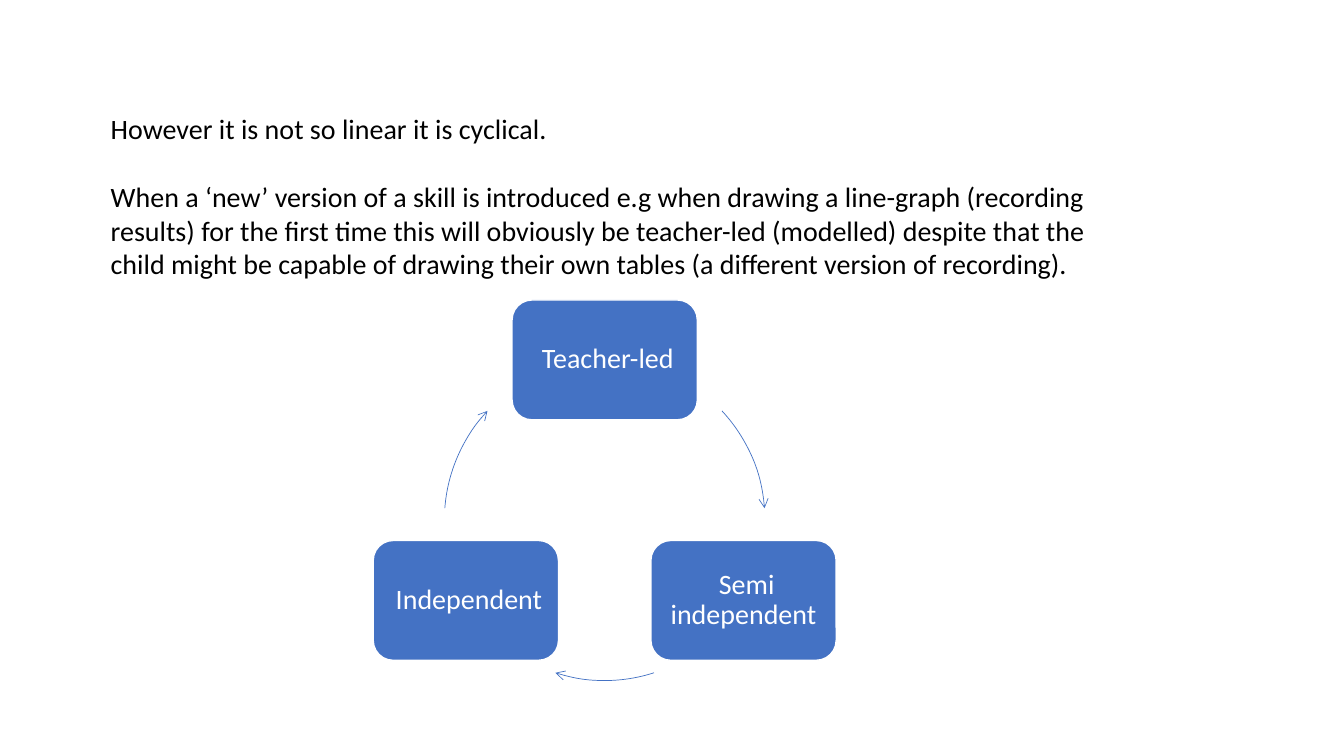
import math

from lxml import etree
from pptx import Presentation, util as u
from pptx.dml import color
from pptx.enum import shapes, text
from pptx.oxml import ns

COLORS = {"ink": "000000", "node": "4472C4", "paper": "FFFFFF"}
CENTER_X, CENTER_Y, RADIUS = 15.24, 13.11, 4.04
NODE_WIDTH, NODE_HEIGHT = 4.67, 3.02
ARC_UNITS_PER_DEGREE = 0.6


class CycleSlide:
    font, size = "Calibri", 20

    def __init__(self, deck):
        self.slide = deck.slides.add_slide(deck.slide_layouts[6])

    def rgb(self, name):
        return color.RGBColor.from_string(COLORS[name])

    def add_words(self, paragraph, wording, ink):
        run = paragraph.add_run()
        run.text = wording
        run.font.name = self.font
        run.font.size = u.Pt(self.size)
        run.font.color.rgb = self.rgb(ink)

    def preset(self, kind, left, top, width, height, line, weight):
        part = self.slide.shapes.add_shape(
            kind, u.Cm(left), u.Cm(top), u.Cm(width), u.Cm(height))
        part.shadow.inherit = False
        part.line.color.rgb = self.rgb(line)
        part.line.width = u.Pt(weight)
        return part

    def explanation(self, paragraphs, left, top, width, height, gap):
        frame = self.slide.shapes.add_textbox(
            u.Cm(left), u.Cm(top), u.Cm(width), u.Cm(height)).text_frame
        frame.word_wrap = True
        for index, wording in enumerate(paragraphs):
            paragraph = frame.add_paragraph() if index else frame.paragraphs[0]
            paragraph.space_before = u.Pt(gap if index else 0)
            self.add_words(paragraph, wording, "ink")

    def stage(self, wording, angle):
        x = CENTER_X + RADIUS * math.cos(math.radians(angle))
        y = CENTER_Y + RADIUS * math.sin(math.radians(angle))
        node = self.preset(
            shapes.MSO_SHAPE.ROUNDED_RECTANGLE, x - NODE_WIDTH / 2,
            y - NODE_HEIGHT / 2, NODE_WIDTH, NODE_HEIGHT, "paper", 1)
        node.fill.solid()
        node.fill.fore_color.rgb = self.rgb("node")
        frame = node.text_frame
        frame.word_wrap = True
        frame.vertical_anchor = text.MSO_ANCHOR.MIDDLE
        frame.margin_left = frame.margin_right = u.Cm(0.2)
        frame.margin_top = frame.margin_bottom = u.Cm(0.2)
        label = frame.paragraphs[0]
        label.alignment = text.PP_ALIGN.CENTER
        label.line_spacing = 0.9
        self.add_words(label, wording, "paper")

    def arrow(self, start, end):
        arc = self.preset(
            shapes.MSO_SHAPE.ARC, CENTER_X - RADIUS, CENTER_Y - RADIUS,
            2 * RADIUS, 2 * RADIUS, "node", 0.5)
        arc.fill.background()
        arc.adjustments[0] = start * ARC_UNITS_PER_DEGREE
        arc.adjustments[1] = end * ARC_UNITS_PER_DEGREE
        outline = arc.element.spPr.find(ns.qn("a:ln"))
        etree.SubElement(outline, ns.qn("a:tailEnd"), type="arrow")


def main():
    deck = Presentation()
    deck.slide_width, deck.slide_height = u.Cm(33.87), u.Cm(19.05)
    cycle = CycleSlide(deck)
    cycle.explanation(
        ["However it is not so linear it is cyclical. ",
         "When a ‘new’ version of a skill is introduced e.g when drawing a "
         "line-graph (recording results) for the first time this will "
         "obviously be teacher-led (modelled) despite that the child might be "
         "capable of drawing their own tables (a different version of "
         "recording)."],
        2.54, 2.69, 25.35, 5.31, 24.4)
    stages = [
        (" Teacher-led", 270, (317, 355.7)),
        (" Semi independent", 30, (72.1, 107.9)),
        (" Independent", 150, (184.3, 223)),
    ]
    for wording, angle, sweep in stages:
        cycle.stage(wording, angle)
        cycle.arrow(*sweep)
    deck.save("out.pptx")


if __name__ == "__main__":
    main()
